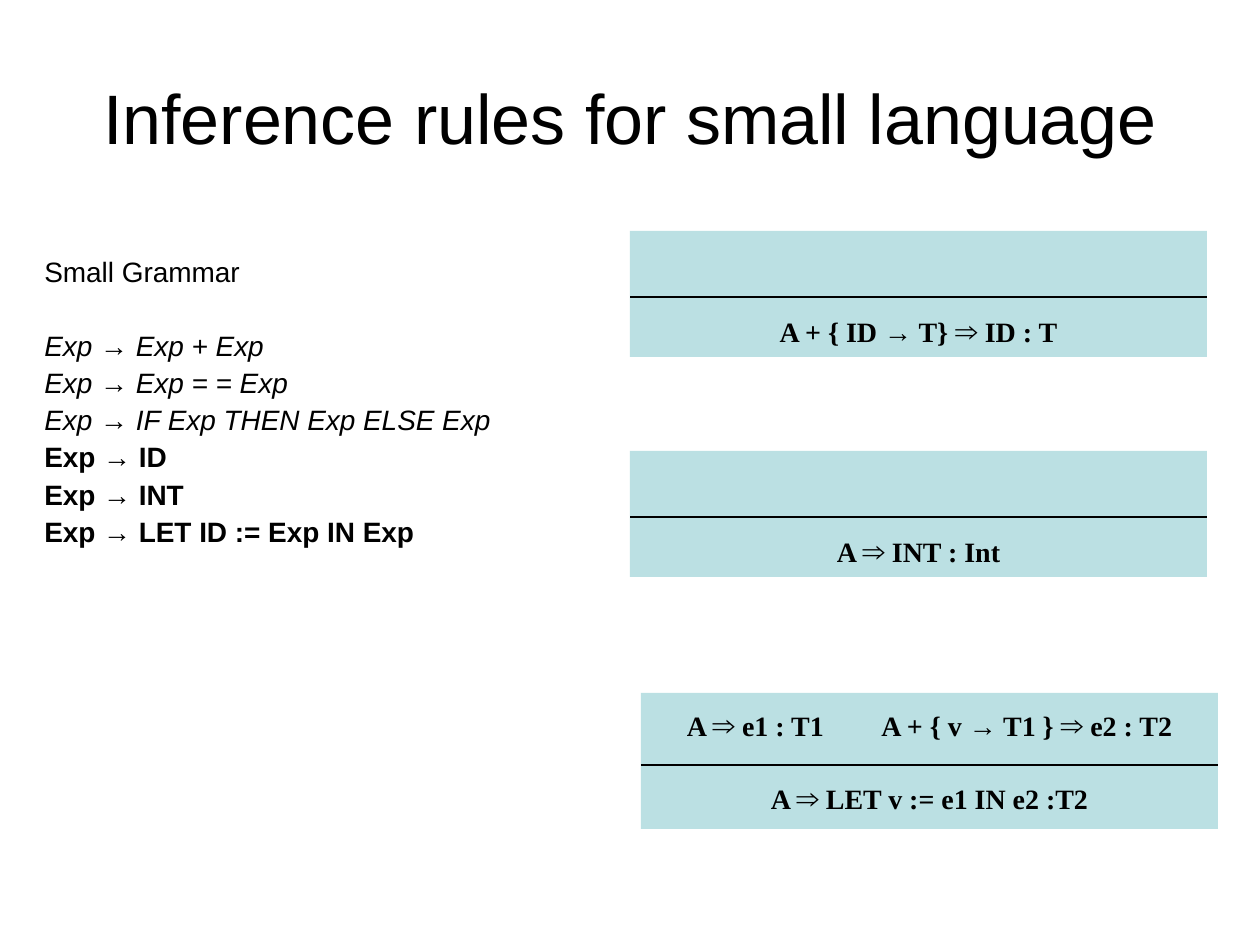
"""Build the slide of inference rules for a small language."""
import itertools

import pptx
import pptx.dml.color
import pptx.enum.shapes
import pptx.enum.text
import pptx.oxml
import pptx.util

PX = 914400 / 126
ALIGN = pptx.enum.text.PP_ALIGN
ANCHOR = pptx.enum.text.MSO_ANCHOR


def px(length):
    return pptx.util.Emu(round(length * PX))


def color(hex_value):
    return pptx.dml.color.RGBColor.from_string(hex_value)


class Slide:
    ink, panel = "000000", "BBE0E3"
    sans, serif = "Arial", "Times New Roman"

    def __init__(self, deck):
        self.slide = deck.slides.add_slide(deck.slide_layouts[6])

    def style(self, run, size, face, bold=False, italic=False):
        run.font.size = pptx.util.Pt(size)
        run.font.name = face
        run.font.bold = bold
        run.font.italic = italic
        run.font.color.rgb = color(self.ink)

    def textbox(self, left, top, width, height):
        frame = self.slide.shapes.add_textbox(
            px(left), px(top), px(width), px(height)).text_frame
        frame.word_wrap = True
        return frame

    def title(self, text, left, top, width, height):
        frame = self.textbox(left, top, width, height)
        frame.vertical_anchor = ANCHOR.MIDDLE
        frame.text = text
        heading = frame.paragraphs[0]
        heading.alignment = ALIGN.CENTER
        self.style(heading.runs[0], 40, self.sans)

    def grammar(self, heading, productions, left, top, width, height):
        frame = self.textbox(left, top, width, height)
        frame.text = "\n".join([heading] + [text for text, _ in productions])
        emphases = [{}] + [{emphasis: True} for _, emphasis in productions]
        for index, (line, emphasis) in enumerate(zip(frame.paragraphs, emphases)):
            line.line_spacing = 0.9
            if index:
                line.space_before = pptx.util.Pt(25 if index == 1 else 4)
            self.style(line.runs[0], 16, self.sans, **emphasis)

    def formula(self, paragraph, text):
        paragraph.alignment = ALIGN.CENTER
        for symbol, letters in itertools.groupby(
                text, lambda letter: letter if letter in "→⇒" else ""):
            run = paragraph.add_run()
            run.text = "".join(letters)
            self.style(run, 18 if symbol == "⇒" else 16,
                       self.sans if symbol else self.serif, bold=symbol != "⇒")

    def bar(self, left, right, y):
        connector = self.slide.shapes.add_connector(
            pptx.enum.shapes.MSO_CONNECTOR.STRAIGHT,
            px(left), px(y), px(right), px(y))
        connector.line.color.rgb = color(self.ink)
        connector.line.width = pptx.util.Pt(0.75)
        connector._element.spPr.append(
            pptx.oxml.parse_xml('<a:effectLst xmlns:a='
                                '"http://schemas.openxmlformats.org/drawingml/2006/main"/>'))

    def rule(self, formulas, left, top, height, bar_offset, width=577):
        box = self.slide.shapes.add_shape(
            pptx.enum.shapes.MSO_SHAPE.RECTANGLE,
            px(left), px(top), px(width), px(height))
        box.shadow.inherit = False
        box.fill.solid()
        box.fill.fore_color.rgb = color(self.panel)
        box.line.fill.background()
        frame = box.text_frame
        frame.word_wrap = False
        frame.margin_bottom = px(8)
        frame.vertical_anchor = ANCHOR.MIDDLE if len(formulas) > 1 else ANCHOR.BOTTOM
        self.formula(frame.paragraphs[0], formulas[0])
        for text in formulas[1:]:
            paragraph = frame.add_paragraph()
            paragraph.space_before = pptx.util.Pt(20)
            self.formula(paragraph, text)
        self.bar(left, left + width, top + bar_offset)


def main():
    deck = pptx.Presentation()
    deck.slide_width, deck.slide_height = px(1260), px(945)
    slide = Slide(deck)
    slide.title("Inference rules for small language", 63, 38, 1134, 157)
    slide.grammar("Small Grammar", [
        ("Exp → Exp + Exp", "italic"),
        ("Exp → Exp = = Exp", "italic"),
        ("Exp → IF Exp THEN Exp ELSE Exp", "italic"),
        ("Exp → ID", "bold"),
        ("Exp → INT", "bold"),
        ("Exp → LET ID := Exp IN Exp", "bold"),
    ], 32, 252, 494, 388)
    slide.rule(["A + { ID → T} ⇒ ID : T"], 630, 231, 126, 66)
    slide.rule(["A ⇒ INT : Int"], 630, 451, 126, 66)
    slide.rule(["A ⇒ e1 : T1\t A + { v → T1 } ⇒ e2 : T2",
                "A ⇒ LET v := e1 IN e2 :T2"], 641, 693, 136, 72)
    deck.save("out.pptx")


if __name__ == "__main__":
    main()
